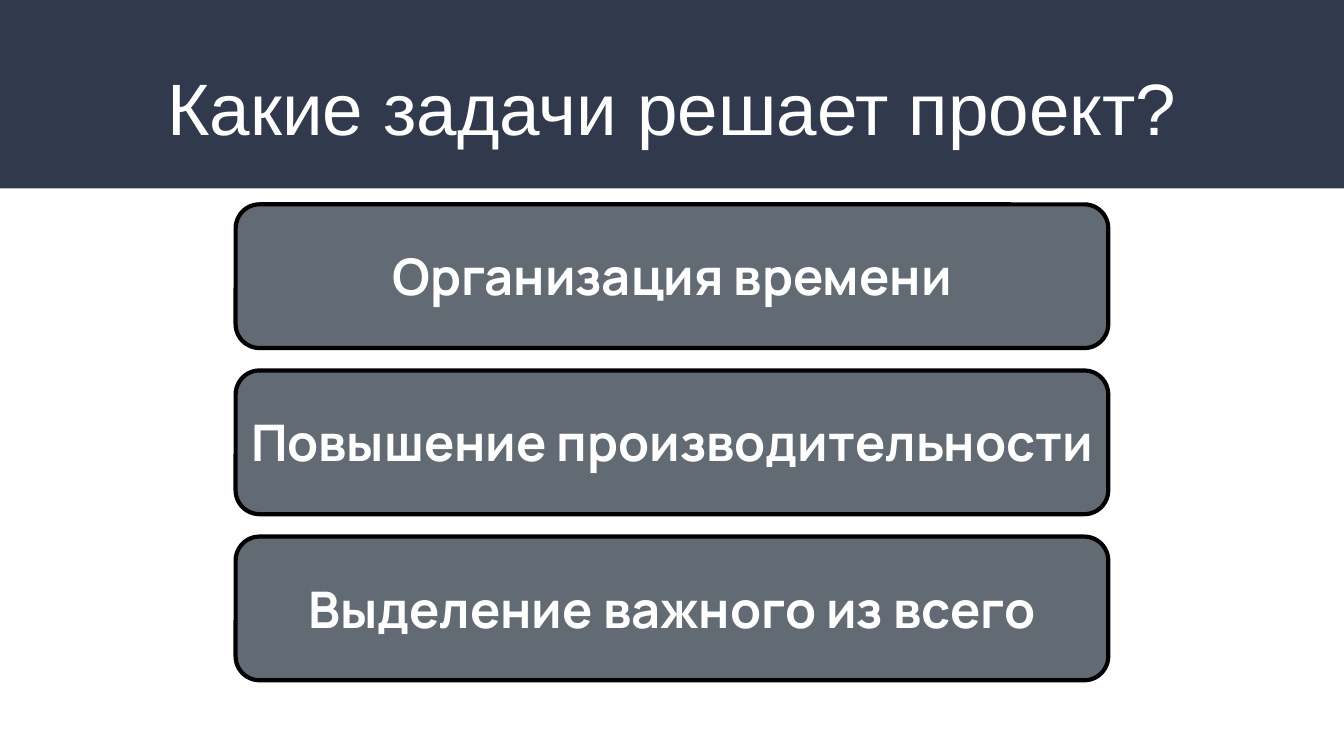
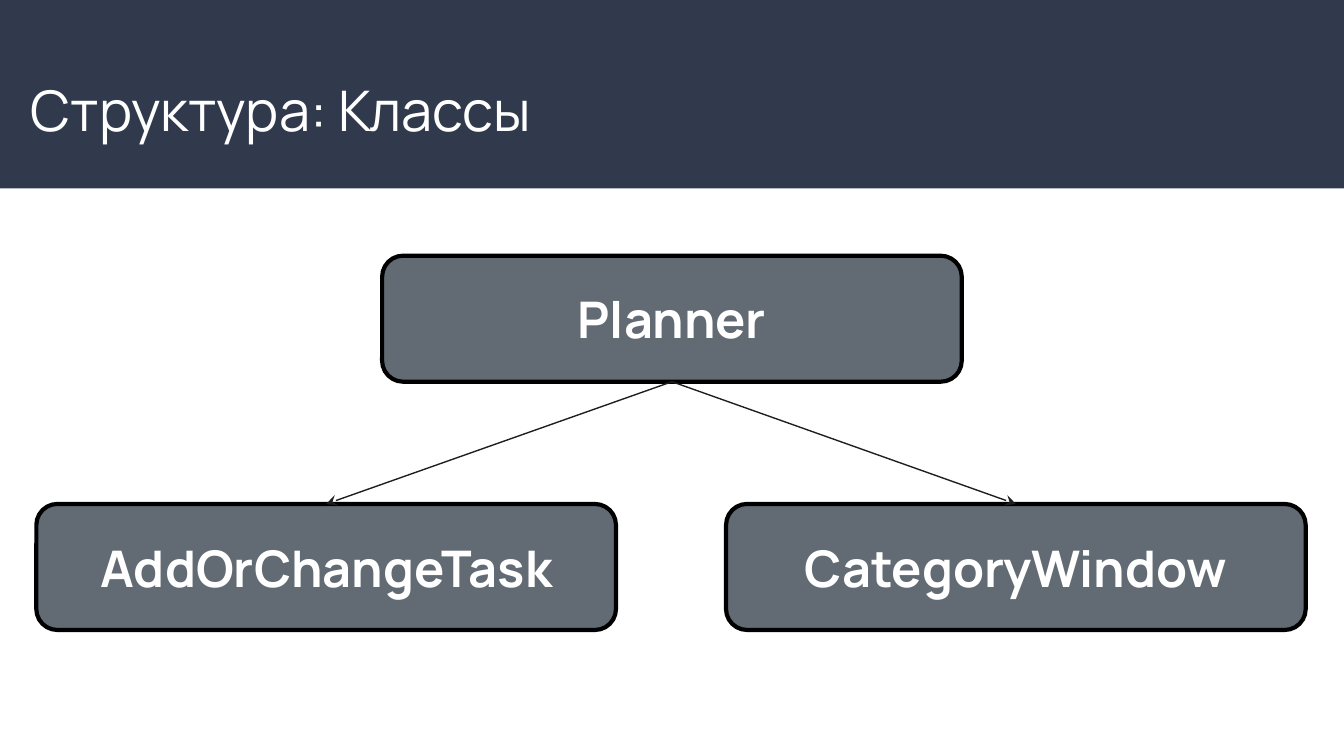
from lxml import etree
from pptx import Presentation
from pptx import util as u
from pptx.dml import color
from pptx.enum import shapes, text
from pptx.oxml import ns

Pt = u.Pt
COLORS = {
    "band": "31394D",
    "card": "626B73",
    "outline": "000000",
    "arrow": "1E1E1E",
    "light": "FFFFFF",
}
FONT = "Manrope"
WIDTH, HEIGHT, BAND_HEIGHT = 720, 405, 101
INSET = 7.2


def rgb(name):
    return color.RGBColor.from_string(COLORS[name])


def write(shape, content, size=27, font=FONT, bold=True, align="CENTER", anchor="TOP"):
    frame = shape.text_frame
    frame.word_wrap = True
    frame.vertical_anchor = getattr(text.MSO_ANCHOR, anchor)
    frame.margin_left = frame.margin_right = Pt(INSET)
    frame.margin_top = frame.margin_bottom = Pt(INSET)
    paragraph = frame.paragraphs[0]
    paragraph.alignment = getattr(text.PP_ALIGN, align)
    run = paragraph.add_run()
    run.text = content
    run.font.name = font
    run.font.size = Pt(size)
    run.font.bold = bold
    run.font.color.rgb = rgb("light")


class Deck:
    def __init__(self):
        self.presentation = Presentation()
        self.presentation.slide_width = Pt(WIDTH)
        self.presentation.slide_height = Pt(HEIGHT)
        self.slide = None

    def add_slide(self):
        self.slide = self.presentation.slides.add_slide(self.presentation.slide_layouts[6])
        self.add_box("RECTANGLE", 0, 0, WIDTH, BAND_HEIGHT, "band")

    def add_box(self, kind, left, top, width, height, fill):
        shape = self.slide.shapes.add_shape(
            getattr(shapes.MSO_SHAPE, kind), Pt(left), Pt(top), Pt(width), Pt(height))
        shape.shadow.inherit = False
        shape.fill.solid()
        shape.fill.fore_color.rgb = rgb(fill)
        shape.line.fill.background()
        return shape

    def add_card(self, left, top, width, height):
        card = self.add_box("ROUNDED_RECTANGLE", left, top, width, height, "card")
        card.line.color.rgb = rgb("outline")
        card.line.width = Pt(2.25)
        return card

    def add_text(self, content, left, top, width, height, **style):
        shape = self.slide.shapes.add_textbox(Pt(left), Pt(top), Pt(width), Pt(height))
        write(shape, content, **style)

    def add_arrow(self, start, end):
        arrow = self.slide.shapes.add_connector(shapes.MSO_CONNECTOR.STRAIGHT, 0, 0, 0, 0)
        arrow.begin_connect(start, 2)
        arrow.end_connect(end, 0)
        arrow.line.color.rgb = rgb("arrow")
        arrow.line.width = Pt(0.75)
        etree.SubElement(arrow.line._get_or_add_ln(), ns.qn("a:tailEnd"), type="stealth")
        etree.SubElement(arrow._element.spPr, ns.qn("a:effectLst"))


def build_tasks(deck):
    deck.add_slide()
    deck.add_text("Какие задачи решает проект?", 77, 26.6, 566, 49,
                  size=39, font="Arial", bold=False)
    width, height, label_height = 467.5, 77, 47.5
    left = (WIDTH - width) / 2
    tasks = ["Организация времени", "Повышение производительности",
             "Выделение важного из всего"]
    for index, task in enumerate(tasks):
        top = 109.5 + 89 * index
        deck.add_card(left, top, width, height)
        deck.add_text(task, left, top + (height - label_height) / 2, width, label_height)


def build_classes(deck):
    deck.add_slide()
    deck.add_text("Структура: Классы", 9.4, 33, 671, 49,
                  size=30, bold=False, align="LEFT")
    width, height = 310.5, 67.5

    def add_class(name, left, top):
        card = deck.add_card(left, top, width, height)
        write(card, name, anchor="MIDDLE")
        return card

    planner = add_class("Planner", (WIDTH - width) / 2, 137)
    windows = [add_class(name, left, 270)
               for name, left in [("AddOrChangeTask", 19.5), ("CategoryWindow", 389)]]
    for window in windows:
        deck.add_arrow(planner, window)


def main():
    deck = Deck()
    build_tasks(deck)
    build_classes(deck)
    deck.presentation.save("out.pptx")


if __name__ == "__main__":
    main()
